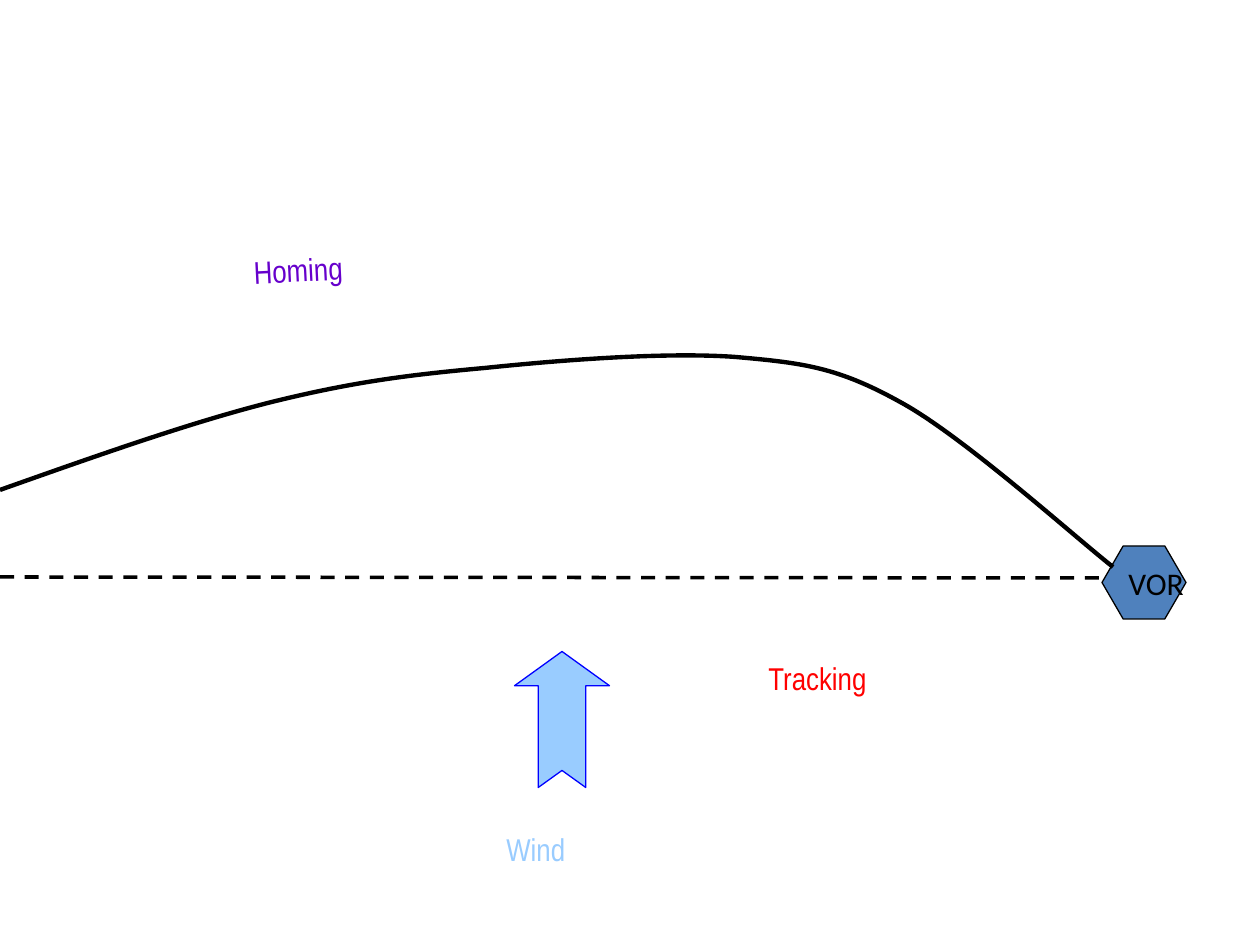
import pptx
import pptx.util
import pptx.dml.color
import pptx.enum.dml
import pptx.enum.shapes
import pptx.enum.text
import pptx.oxml.ns
import pptx.oxml.xmlchemy

SCALE = 914400 / 126


def px(length):
    return pptx.util.Emu(round(length * SCALE))


def color(value):
    return pptx.dml.color.RGBColor.from_string(value)


presentation = pptx.Presentation()
presentation.slide_width = px(1260)
presentation.slide_height = px(945)
slide = presentation.slides.add_slide(presentation.slide_layouts[6])
shapes = slide.shapes

station = shapes.add_shape(
    pptx.enum.shapes.MSO_SHAPE.HEXAGON, px(1102), px(546), px(84), px(73))
station.adjustments[0] = 0.29
station.text_frame.word_wrap = False
station.text_frame.text = "VOR"
paragraph = station.text_frame.paragraphs[0]
paragraph.alignment = pptx.enum.text.PP_ALIGN.LEFT
paragraph.font.size = pptx.util.Pt(18)
paragraph.font.name = "Calibri"
paragraph.font.color.rgb = color("000000")

track = shapes.add_connector(
    pptx.enum.shapes.MSO_CONNECTOR.STRAIGHT, px(0), px(577), px(1102), px(578))
track.line.color.rgb = color("000000")
track.line.width = pptx.util.Pt(2)
track.line.dash_style = pptx.enum.dml.MSO_LINE.DASH
track._element.spPr.append(pptx.oxml.xmlchemy.OxmlElement("a:effectLst"))

wind_arrow = shapes.add_shape(
    pptx.enum.shapes.MSO_SHAPE.NOTCHED_RIGHT_ARROW, px(494), px(672), px(136), px(95))
wind_arrow.adjustments[0] = 0.5
wind_arrow.adjustments[1] = 0.36
wind_arrow.rotation = 270

for shape, fill, outline in [(station, "4F81BD", "000000"), (wind_arrow, "99CCFF", "0000FF")]:
    shape.shadow.inherit = False
    shape.fill.solid()
    shape.fill.fore_color.rgb = color(fill)
    shape.line.color.rgb = color(outline)
    shape.line.width = pptx.util.Pt(0.75)

labels = [
    ("Wind", 494, 809, 132, 79, 0, "99CCFF"),
    ("Tracking", 756, 630, 336, 95, 0, "FF0000"),
    ("Homing", 241, 199, 399, 126, 357, "6600CC"),
]
for text, left, top, width, height, rotation, text_color in labels:
    label = shapes.add_textbox(px(left), px(top), px(width), px(height))
    label.rotation = rotation
    label.text_frame.word_wrap = True
    label.text_frame.vertical_anchor = pptx.enum.text.MSO_ANCHOR.MIDDLE
    label.text_frame.text = text
    paragraph = label.text_frame.paragraphs[0]
    paragraph.font.size = pptx.util.Pt(18)
    paragraph.font.name = "Arial Narrow"
    paragraph.font.color.rgb = color(text_color)

curve_points = [
    (96, 456), (192, 422), (272, 402),
    (353, 382), (408, 375), (485, 368),
    (562, 360), (665, 352), (735, 357),
    (803, 363), (837, 367), (900, 402),
    (963, 436), (1077, 539), (1113, 567),
]
builder = shapes.build_freeform(0, 490, scale=SCALE)
builder.add_line_segments(curve_points, close=False)
homing_path = builder.convert_to_shape()
homing_path.shadow.inherit = False
homing_path.fill.background()
homing_path.line.color.rgb = color("000000")
homing_path.line.width = pptx.util.Pt(2.5)

segments = list(homing_path._element.iter(pptx.oxml.ns.qn("a:lnTo")))
for start in range(0, len(segments), 3):
    bezier = pptx.oxml.xmlchemy.OxmlElement("a:cubicBezTo")
    segments[start].addprevious(bezier)
    for segment in segments[start:start + 3]:
        bezier.append(segment[0])
        segment.getparent().remove(segment)

presentation.save("out.pptx")
